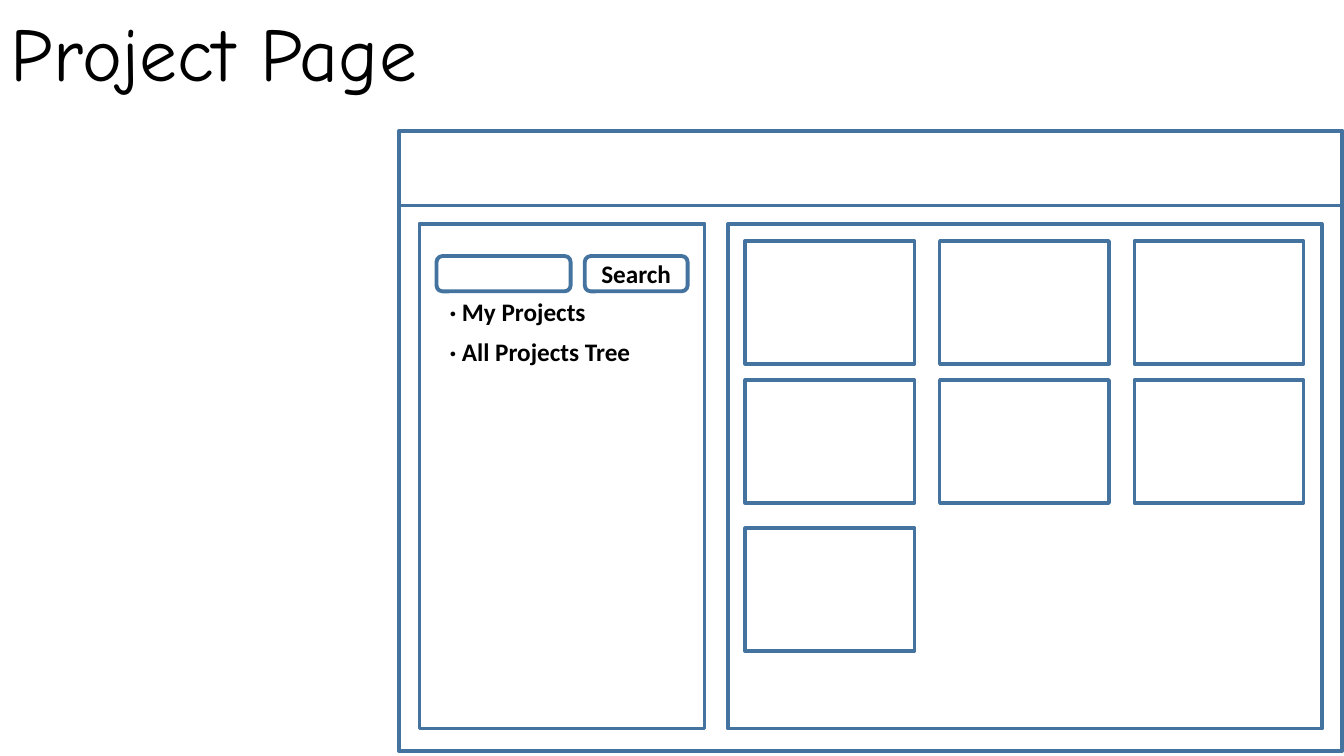
from dataclasses import dataclass

from pptx import Presentation
from pptx import util as u
from pptx.dml.color import RGBColor
from pptx.enum import shapes, text

PX = 9144  # EMU per px, 100 px to the inch


@dataclass(frozen=True)
class Theme:
    outline: RGBColor = RGBColor(0x43, 0x73, 0x9E)
    paper: RGBColor = RGBColor(0xFF, 0xFF, 0xFF)
    ink: RGBColor = RGBColor(0, 0, 0)
    title_font: str = "Comic Neue"
    body_font: str = "Calibri"
    title_size: int = 54
    body_size: int = 18
    window_line: float = 3
    panel_line: float = 2.5
    control_line: float = 2.75


THEME = Theme()


@dataclass(frozen=True)
class Frame:
    left: int
    top: int
    width: int
    height: int
    line: float = THEME.panel_line
    rounded: bool = False
    filled: bool = False
    caption: str = ""


@dataclass(frozen=True)
class Label:
    left: int
    top: int
    width: int
    height: int
    words: str
    font: str = THEME.body_font
    size: int = THEME.body_size
    bold: bool = True


def px(*lengths: int) -> list[u.Emu]:
    return [u.Emu(length * PX) for length in lengths]


def add_words(paragraph, words: str, font: str, size: int, bold: bool) -> None:
    run = paragraph.add_run()
    run.text = words
    run.font.name = font
    run.font.size = u.Pt(size)
    run.font.bold = bold
    run.font.color.rgb = THEME.ink


def draw_frame(slide, frame: Frame) -> None:
    kind = shapes.MSO_SHAPE.ROUNDED_RECTANGLE if frame.rounded else shapes.MSO_SHAPE.RECTANGLE
    box = slide.shapes.add_shape(kind, *px(frame.left, frame.top, frame.width, frame.height))
    box.shadow.inherit = False
    if frame.filled:
        box.fill.solid()
        box.fill.fore_color.rgb = THEME.paper
    else:
        box.fill.background()
    box.line.color.rgb = THEME.outline
    box.line.width = u.Pt(frame.line)
    if frame.caption:
        box.text_frame.vertical_anchor = text.MSO_ANCHOR.MIDDLE
        paragraph = box.text_frame.paragraphs[0]
        paragraph.alignment = text.PP_ALIGN.CENTER
        add_words(paragraph, frame.caption, THEME.body_font, THEME.body_size, True)


def draw_label(slide, label: Label) -> None:
    box = slide.shapes.add_textbox(*px(label.left, label.top, label.width, label.height))
    box.text_frame.word_wrap = False
    box.text_frame.auto_size = text.MSO_AUTO_SIZE.SHAPE_TO_FIT_TEXT
    add_words(box.text_frame.paragraphs[0], label.words, label.font, label.size, label.bold)


# Page window, side panel, project area and header
WINDOW = [
    Frame(396, 130, 935, 615, THEME.window_line, filled=True),
    Frame(416, 222, 283, 501),
    Frame(722, 222, 589, 501),
    Frame(396, 130, 935, 74),
]

# Project cards: row top and number of cards in the row
CARD_ROWS = [(239, 3), (377, 3), (524, 1)]
CARDS = [
    Frame(739 + 193 * column, top, 168, 122)
    for top, count in CARD_ROWS
    for column in range(count)
]

# Search controls
SEARCH = [
    Frame(433, 254, 133, 35, THEME.control_line, rounded=True),
    Frame(580, 254, 102, 35, THEME.control_line, rounded=True, caption="Search"),
]

TITLE = Label(1, 1, 461, 101, "Project Page", THEME.title_font, THEME.title_size, False)
MENU = [
    Label(436, 289, 155, 40, "· My Projects"),
    Label(436, 329, 199, 40, "· All Projects Tree"),
]


def main() -> None:
    deck = Presentation()
    deck.slide_width, deck.slide_height = px(1333, 750)
    slide = deck.slides.add_slide(deck.slide_layouts[6])

    draw_label(slide, TITLE)
    for frame in WINDOW + CARDS:
        draw_frame(slide, frame)
    for entry in MENU:
        draw_label(slide, entry)
    for control in SEARCH:
        draw_frame(slide, control)

    deck.save("out.pptx")


if __name__ == "__main__":
    main()
